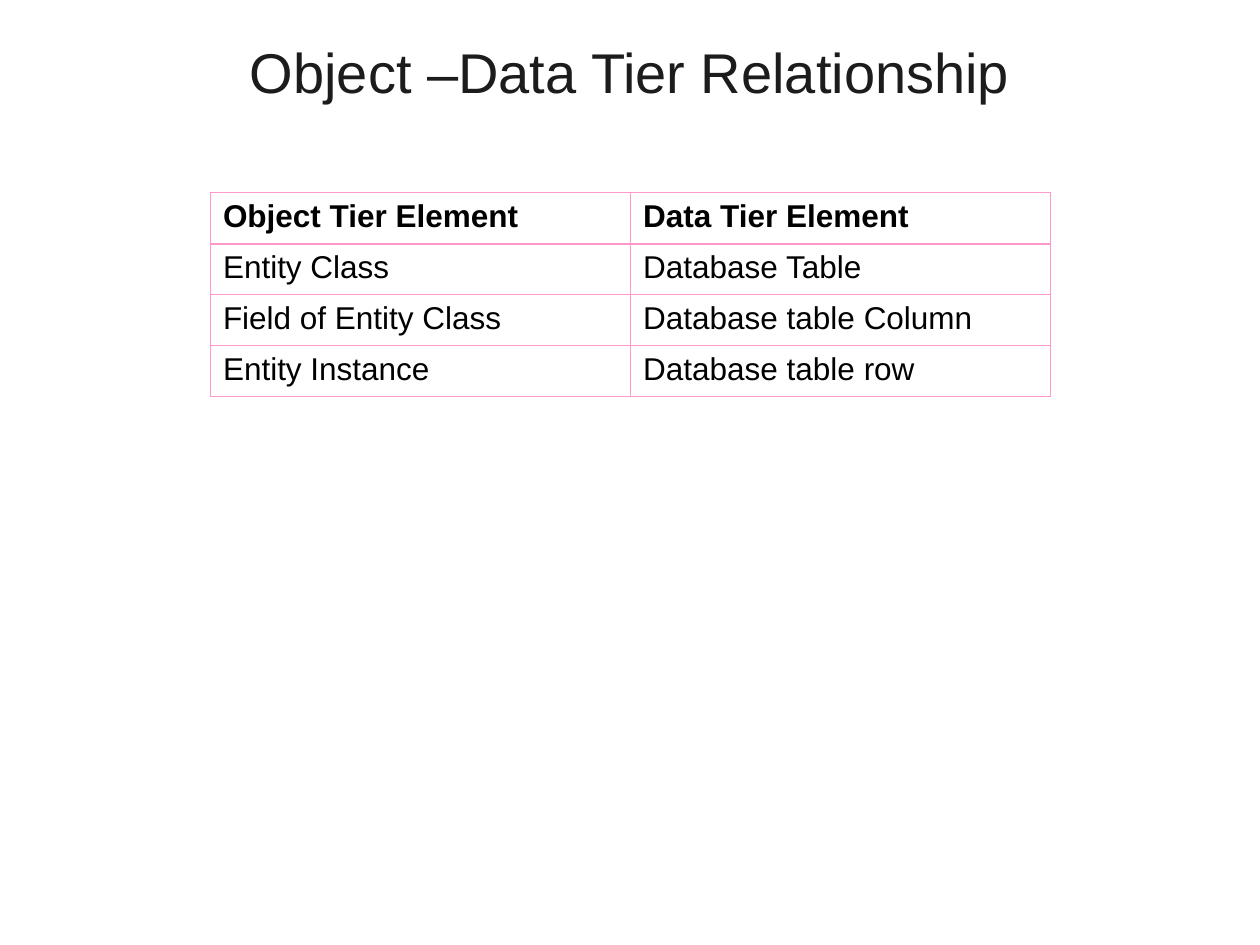
"""Build a slide with a table relating object tier elements to data tier elements."""
from lxml.etree import SubElement
from pptx import Presentation
from pptx.dml.color import RGBColor
from pptx.enum.text import MSO_ANCHOR, MSO_AUTO_SIZE, PP_ALIGN
from pptx.oxml.ns import qn
from pptx.util import Inches, Pt

TITLE_COLOR = RGBColor(0x1C, 0x1C, 0x1C)
BLACK = RGBColor(0x00, 0x00, 0x00)
WHITE = RGBColor(0xFF, 0xFF, 0xFF)
PINK = RGBColor(0xFF, 0x99, 0xCC)
THIN, THICK = Pt(0.45), Pt(1.47)
ROWS = [
    ("Object Tier Element", "Data Tier Element"),
    ("Entity Class", "Database Table"),
    ("Field of Entity Class", "Database table Column"),
    ("Entity Instance", "Database table row"),
]


def format_font(font, size, color, bold=False):
    font.name = "Arial"
    font.size = Pt(size)
    font.bold = bold
    font.color.rgb = color


def add_border(cell, side, width):
    line = SubElement(cell._tc.get_or_add_tcPr(), qn(f"a:ln{side}"), w=str(width))
    fill = SubElement(line, qn("a:solidFill"))
    SubElement(fill, qn("a:srgbClr"), val=str(PINK))


presentation = Presentation()
presentation.slide_width = Inches(10)
presentation.slide_height = Inches(7.5)
slide = presentation.slides.add_slide(presentation.slide_layouts[5])

title = slide.shapes.title
title.left, title.top = Inches(0.5), Inches(0.3)
title.width, title.height = Inches(9), Inches(0.53)
title.text_frame.text = "Object –Data Tier Relationship"
title.text_frame.auto_size = MSO_AUTO_SIZE.NONE
title.text_frame.vertical_anchor = MSO_ANCHOR.MIDDLE
title_paragraph = title.text_frame.paragraphs[0]
title_paragraph.alignment = PP_ALIGN.CENTER
format_font(title_paragraph.runs[0].font, 32, TITLE_COLOR)

table = slide.shapes.add_table(
    len(ROWS), 2, Inches(1.67), Inches(1.53), Inches(6.67), Inches(1.62)
).table
table.horz_banding = False

for row_index, texts in enumerate(ROWS):
    for column_index, text in enumerate(texts):
        cell = table.cell(row_index, column_index)
        cell.text_frame.text = text
        run = cell.text_frame.paragraphs[0].runs[0]
        format_font(run.font, 18, BLACK, bold=row_index == 0)
        add_border(cell, "L", THIN)
        add_border(cell, "R", THIN)
        add_border(cell, "T", THICK if row_index == 1 else THIN)
        add_border(cell, "B", THICK if row_index == 0 else THIN)
        cell.fill.solid()
        cell.fill.fore_color.rgb = WHITE

presentation.save("out.pptx")
